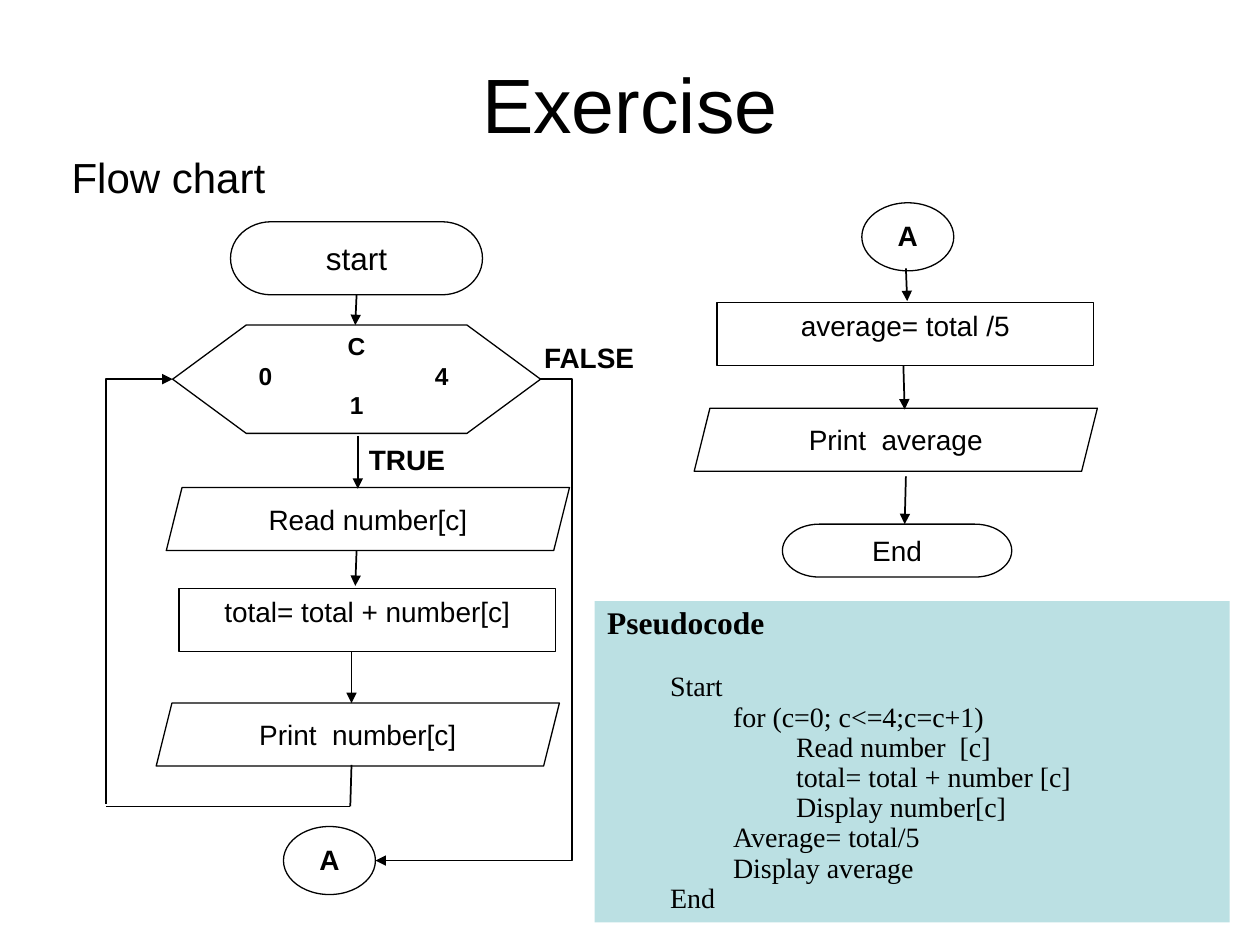
from lxml.etree import SubElement
from pptx import Presentation
from pptx.dml.color import RGBColor
from pptx.enum.shapes import MSO_CONNECTOR, MSO_SHAPE
from pptx.enum.text import MSO_ANCHOR, PP_ALIGN
from pptx.oxml.ns import qn
from pptx.util import Pt

PX = 9144  # 100 px to the inch
COLORS = {"ink": "000000", "paper": "FFFFFF", "panel": "BBE0E3"}
RGB = {name: RGBColor.from_string(value) for name, value in COLORS.items()}
TOP, MID = MSO_ANCHOR.TOP, MSO_ANCHOR.MIDDLE
LEFT, CENTER = PP_ALIGN.LEFT, PP_ALIGN.CENTER


def write(tf, text, size=16, bold=False, font="Arial", align=CENTER, anchor=TOP,
          wrap=True, first=True, indent=0, before=0, spacing=None, tab=None):
    """Put one paragraph in a text frame; first=False appends it."""
    tf.word_wrap = wrap
    tf.vertical_anchor = anchor
    p = tf.paragraphs[0] if first else tf.add_paragraph()
    p.alignment = align
    p.space_before = Pt(before)
    if spacing:
        p.line_spacing = spacing
    pPr = p._p.get_or_add_pPr()
    if indent:
        pPr.set("marL", str(indent * PX))
        pPr.set("indent", "0")
    if tab:
        tabs = SubElement(pPr, qn("a:tabLst"))
        SubElement(tabs, qn("a:tab"), pos=str(tab * PX), algn="l")
    r = p.add_run()
    r.text = text
    r.font.name = font
    r.font.size = Pt(size)
    r.font.bold = bold
    r.font.color.rgb = RGB["ink"]


def connect(x1, y1, x2, y2, head=True, bend=None):
    """Draw a line; bend places the elbow as a share of the width."""
    kind = MSO_CONNECTOR.STRAIGHT if bend is None else MSO_CONNECTOR.ELBOW
    c = s.shapes.add_connector(kind, x1 * PX, y1 * PX, x2 * PX, y2 * PX)
    c.line.color.rgb = RGB["ink"]
    c.line.width = Pt(1)
    if head:
        SubElement(c.line._get_or_add_ln(), qn("a:tailEnd"), type="triangle")
    spPr = c._element.spPr
    SubElement(spPr, qn("a:effectLst"))
    if bend is not None:
        geom = spPr.find(qn("a:prstGeom"))
        av = geom.find(qn("a:avLst"))
        if av is None:
            av = SubElement(geom, qn("a:avLst"))
        SubElement(av, qn("a:gd"), name="adj1", fmla=f"val {round(bend * 100000)}")


prs = Presentation()
prs.slide_width, prs.slide_height = 1000 * PX, 750 * PX
s = prs.slides.add_slide(prs.slide_layouts[5])

# Title
title = s.shapes.title
title.left, title.top, title.width, title.height = 50 * PX, 30 * PX, 900 * PX, 103 * PX
write(title.text_frame, "Exercise", size=44, anchor=MID)

# Subtitle and branch labels
for text, x, y, w, h, size, bold in [
    ("Flow chart", 47, 115, 286, 65, 24, False),
    ("TRUE", 283, 346, 100, 34, 16, True),
    ("FALSE", 422, 265, 150, 34, 16, True),
]:
    tb = s.shapes.add_textbox(x * PX, y * PX, w * PX, h * PX)
    # The subtitle has a space before it of a fifth of its size
    write(tb.text_frame, text, size=size, bold=bold, align=LEFT)

# Flow chart symbols
PROCESS, IO = MSO_SHAPE.FLOWCHART_PROCESS, MSO_SHAPE.PARALLELOGRAM
JOIN, END = MSO_SHAPE.FLOWCHART_CONNECTOR, MSO_SHAPE.FLOWCHART_TERMINATOR
LOOP = MSO_SHAPE.FLOWCHART_PREPARATION
STYLE = {
    PROCESS: {},
    IO: {"anchor": MID},
    JOIN: {"bold": True},
    END: {"anchor": MID, "wrap": False},
    LOOP: {"size": 14, "bold": True},
}
for kind, x, y, w, h, text, extra in [
    (END, 183, 176, 200, 58, "start", {"size": 18}),
    (LOOP, 137, 258, 292, 86, "C", {}),
    (IO, 132, 387, 320, 50, "Read number[c]", {}),
    (PROCESS, 142, 467, 299, 50, "total= total + number[c]", {}),
    (IO, 124, 558, 320, 50, "Print  number[c]", {}),
    (JOIN, 225, 656, 73, 54, "A", {}),
    (JOIN, 684, 161, 73, 54, "A", {}),
    (PROCESS, 569, 240, 299, 50, "average= total /5", {}),
    (IO, 551, 324, 320, 50, "Print  average", {}),
    (END, 621, 416, 182, 42, "End", {}),
]:
    sp = s.shapes.add_shape(kind, x * PX, y * PX, w * PX, h * PX)
    sp.shadow.inherit = False
    sp.fill.solid()
    sp.fill.fore_color.rgb = RGB["paper"]
    sp.line.color.rgb = RGB["ink"]
    sp.line.width = Pt(0.75)
    write(sp.text_frame, text, **STYLE[kind], **extra)
    if kind == LOOP:
        write(sp.text_frame, "0\t4", **STYLE[kind], align=LEFT, tab=140, first=False)
        write(sp.text_frame, "1", **STYLE[kind], first=False)

# Arrows between steps
for ends in [
    (283, 234, 282, 258), (284, 346, 284, 388), (283, 437, 282, 465), (279, 517, 279, 558),
    (719, 213, 720, 239), (717, 290, 718, 325), (719, 378, 718, 416),
]:
    connect(*ends)

# Loop back and exit
connect(279, 607, 278, 640, head=False)
connect(84, 640, 278, 640, head=False)
connect(84, 638, 137, 301, bend=0)
connect(429, 301, 298, 683, bend=-0.19)

# Pseudocode panel
panel = s.shapes.add_shape(MSO_SHAPE.RECTANGLE, 472 * PX, 477 * PX, 504 * PX, 255 * PX)
panel.shadow.inherit = False
panel.fill.solid()
panel.fill.fore_color.rgb = RGB["panel"]
panel.line.fill.background()
tf = panel.text_frame
code = {"font": "Times New Roman", "align": LEFT, "spacing": 0.9}
write(tf, "Pseudocode", size=18, bold=True, **code)
for i, (level, text) in enumerate([
    (1, "Start"),
    (2, "for (c=0; c<=4;c=c+1)"),
    (3, "Read number  [c]"),
    (3, "total= total + number [c]"),
    (3, "Display number[c]"),
    (2, "Average= total/5"),
    (2, "Display average"),
    (1, "End"),
]):
    write(tf, text, first=False, indent=50 * level, before=0 if i else 18, **code)

prs.save("out.pptx")
